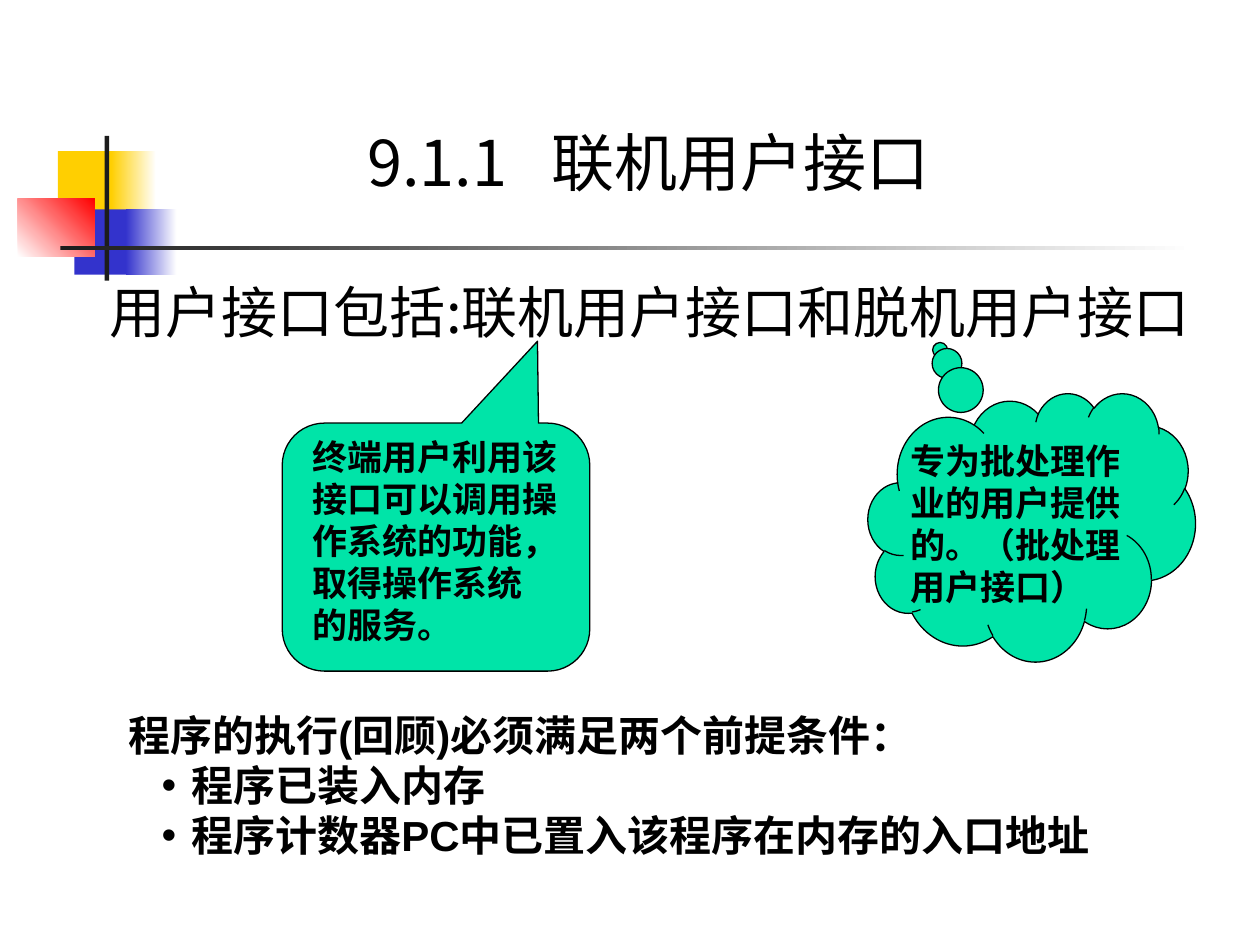
from dataclasses import dataclass

from lxml.etree import SubElement
from pptx import Presentation
from pptx.dml.color import RGBColor
from pptx.enum.shapes import MSO_SHAPE
from pptx.enum.text import PP_ALIGN
from pptx.oxml.ns import qn
from pptx.slide import Slide
from pptx.util import Cm, Pt

BLACK = RGBColor(0x00, 0x00, 0x00)
WHITE = RGBColor(0xFF, 0xFF, 0xFF)
YELLOW = RGBColor(0xFF, 0xCF, 0x01)
BLUE = RGBColor(0x33, 0x33, 0xCC)
RED = RGBColor(0xFF, 0x00, 0x00)
CHARCOAL = RGBColor(0x1C, 0x1C, 0x1C)
GREEN = RGBColor(0x00, 0xE4, 0xA8)
SANS_SC = "Noto Sans CJK SC"
SANS_JP = "Noto Sans CJK JP"


@dataclass(frozen=True)
class Box:
    left: float
    top: float
    width: float
    height: float

    def lengths(self) -> tuple[Cm, Cm, Cm, Cm]:
        return Cm(self.left), Cm(self.top), Cm(self.width), Cm(self.height)


@dataclass(frozen=True)
class Block:
    box: Box
    colors: tuple[RGBColor, ...]
    angle: int = 0


@dataclass(frozen=True)
class Callout:
    box: Box
    kind: MSO_SHAPE
    adjustments: tuple[float, ...]


@dataclass(frozen=True)
class Text:
    box: Box
    lines: tuple[str, ...]
    size: int
    latin: str = "Arial"
    asian: str = SANS_SC
    bold: bool = False
    bullets_from: int = 99
    tab: float = 0


BLOCKS = (
    Block(Box(1.17, 3.05, 1.22, 1.32), (YELLOW,)),
    Block(Box(2.24, 3.05, 0.91, 1.32), (YELLOW, WHITE)),
    Block(Box(1.5, 4.22, 1.17, 1.32), (BLUE,)),
    Block(Box(2.54, 4.22, 1.02, 1.32), (BLUE, WHITE)),
    Block(Box(0.36, 4.01, 1.55, 1.17), (WHITE, RED), 45),
    Block(Box(2.11, 2.74, 0.09, 2.92), (CHARCOAL,)),
    Block(Box(1.22, 4.95, 22.86, 0.09), (CHARCOAL, WHITE)),
)
CALLOUTS = (
    Callout(Box(5.69, 8.53, 6.2, 5), MSO_SHAPE.ROUNDED_RECTANGULAR_CALLOUT,
            (0.33, -0.83, 0.17)),
    Callout(Box(17.5, 7.92, 6.6, 5.41), MSO_SHAPE.CLOUD_CALLOUT, (-0.28, -0.66)),
)
TEXTS = (
    Text(Box(7.16, 2.36, 15.54, 1.78), ("9.1.1\t联机用户接口",), 36, SANS_SC, tab=3.7),
    Text(Box(1.96, 5.46, 22.6, 1.63), ("用户接口包括:联机用户接口和脱机用户接口",), 32,
         SANS_JP, SANS_JP),
    Text(Box(6.05, 8.66, 5.87, 4.5),
         ("终端用户利用该接口可以调用操作系统的功能，取得操作系统", "的服务。"), 20, bold=True),
    Text(Box(18.11, 8.74, 5.59, 3.66),
         ("专为批处理作", "业的用户提供", "的。（批处理", "用户接口）"), 20, bold=True),
    Text(Box(2.34, 14.17, 22.02, 3.3),
         ("程序的执行(回顾)必须满足两个前提条件：", "程序已装入内存",
          "程序计数器PC中已置入该程序在内存的入口地址"), 24, bold=True, bullets_from=1),
)


def draw_block(s: Slide, block: Block) -> None:
    sp = s.shapes.add_shape(MSO_SHAPE.RECTANGLE, *block.box.lengths())
    sp.shadow.inherit = False
    sp.line.fill.background()
    if len(block.colors) == 1:
        sp.fill.solid()
        sp.fill.fore_color.rgb = block.colors[0]
        return
    sp.fill.gradient()
    sp.fill.gradient_angle = block.angle
    for stop, color in zip(sp.fill.gradient_stops, block.colors):
        stop.color.rgb = color


def draw_callout(s: Slide, callout: Callout) -> None:
    sp = s.shapes.add_shape(callout.kind, *callout.box.lengths())
    sp.shadow.inherit = False
    sp.fill.solid()
    sp.fill.fore_color.rgb = GREEN
    sp.line.color.rgb = BLACK
    sp.line.width = Pt(0.75)
    for i, value in enumerate(callout.adjustments):
        sp.adjustments[i] = value


def draw_text(s: Slide, text: Text) -> None:
    tf = s.shapes.add_textbox(*text.box.lengths()).text_frame
    tf.word_wrap = True
    for i, line in enumerate(text.lines):
        p = tf.paragraphs[0] if i == 0 else tf.add_paragraph()
        p.text = line
        p.alignment = PP_ALIGN.LEFT
        props = p._p.get_or_add_pPr()
        if i >= text.bullets_from:
            p.level = 1
            props.set("marL", str(Cm(1.27)))
            props.set("indent", str(-Cm(0.6)))
            SubElement(props, qn("a:buFont"), typeface="Arial")
            SubElement(props, qn("a:buChar"), char="•")
        if text.tab:
            tabs = SubElement(props, qn("a:tabLst"))
            SubElement(tabs, qn("a:tab"), pos=str(Cm(text.tab)), algn="l")
        p.font.size = Pt(text.size)
        p.font.bold = text.bold
        p.font.color.rgb = BLACK
        p.font.name = text.latin
        SubElement(props.find(qn("a:defRPr")), qn("a:ea"), typeface=text.asian)


def main() -> None:
    """Build the slide on the online user interface."""
    prs = Presentation()
    prs.slide_width, prs.slide_height = Cm(25.4), Cm(19.05)
    s = prs.slides.add_slide(prs.slide_layouts[6])
    for block in BLOCKS:
        draw_block(s, block)
    for callout in CALLOUTS:
        draw_callout(s, callout)
    for text in TEXTS:
        draw_text(s, text)
    prs.save("out.pptx")


if __name__ == "__main__":
    main()
